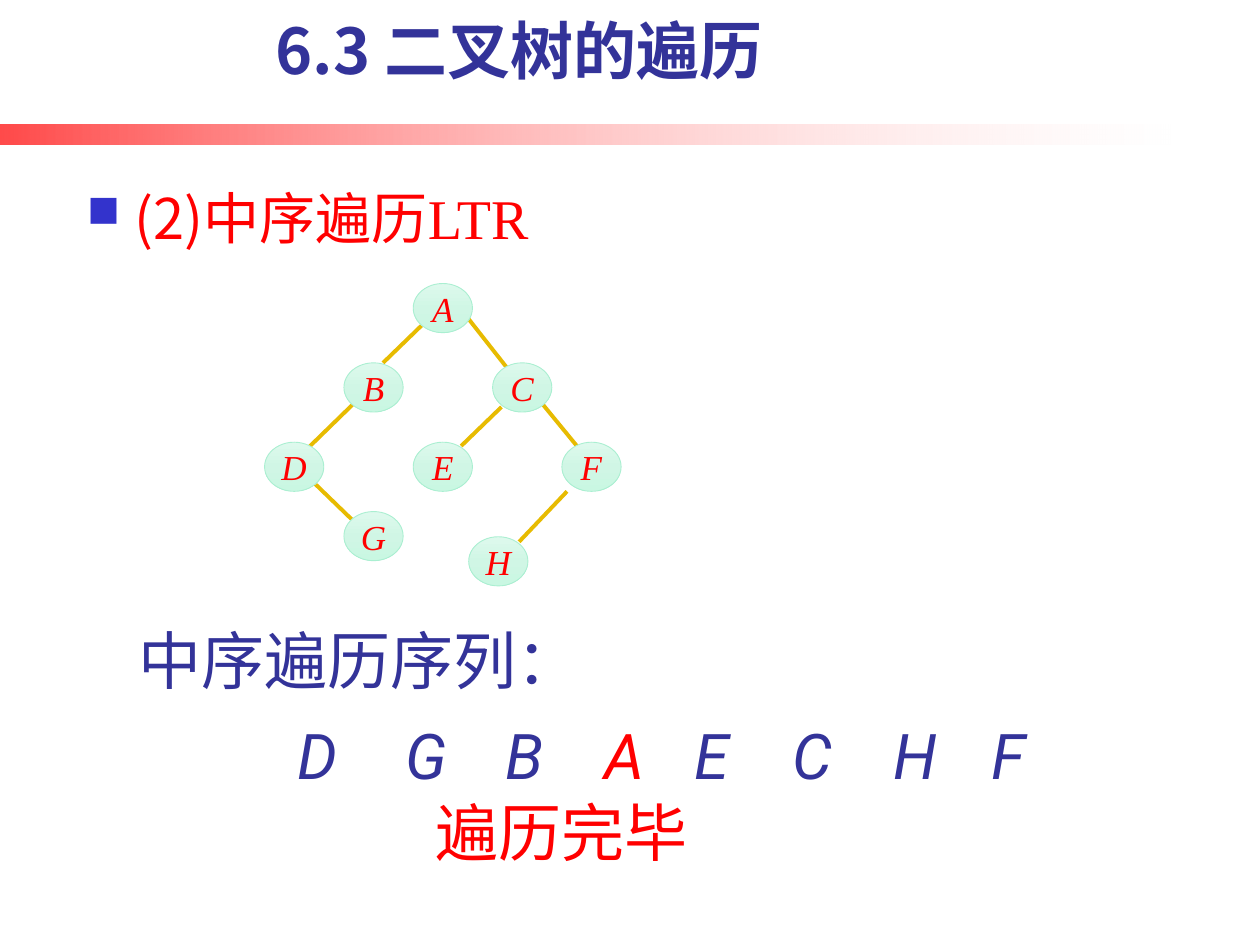
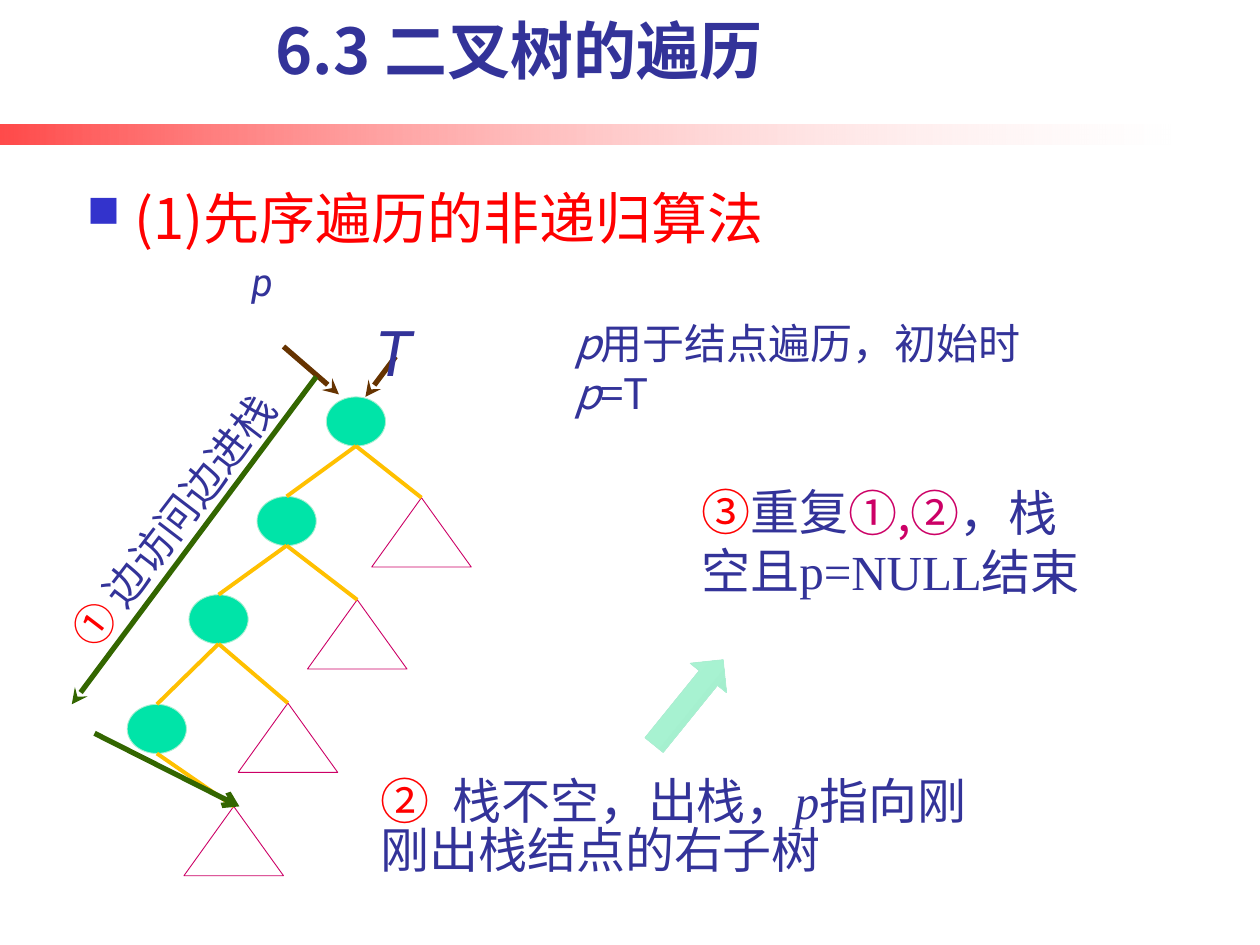
from dataclasses import dataclass
from typing import NamedTuple

from pptx import Presentation
from pptx.dml.color import RGBColor
from pptx.enum.shapes import MSO_CONNECTOR, MSO_SHAPE
from pptx.enum.text import MSO_ANCHOR, MSO_AUTO_SIZE, PP_ALIGN
from pptx.oxml.ns import qn
from pptx.util import Inches, Length, Pt
from lxml.etree import SubElement


@dataclass(frozen=True)
class Theme:
    navy: str = "333399"
    red: str = "FF0000"
    pink: str = "CC0066"
    white: str = "FFFFFF"
    bullet: str = "3333CC"
    gold: str = "E7BB01"
    amber: str = "FFC000"
    brown: str = "663300"
    olive: str = "336600"
    teal: str = "00E4A8"
    mint: str = "AAEFD1"
    pale: tuple = ("DEF9ED", "D0F6E5", "C9F7E2")
    leaf: tuple = ("B6F2D8", "A7F2D1", "8FDCBB")
    sans: str = "Noto Sans CJK SC"
    roboto: str = "Roboto"
    serif: str = "Times New Roman"
    big: int = 36
    head: int = 32
    body: int = 28
    note: int = 24
    mark: int = 22
    node: int = 20


T = Theme()


class Run(NamedTuple):
    text: str
    size: int
    color: str = T.navy
    font: str = T.sans
    italic: bool = False
    bold: bool = False


class Box(NamedTuple):
    left: float
    top: float
    width: float
    height: float


class Line(NamedTuple):
    x1: float
    y1: float
    x2: float
    y2: float
    color: str = T.gold
    width: float = 2.25
    tip: str = ""


class Node(NamedTuple):
    name: str
    left: float
    top: float
    seq: float  # left edge of its letter in the visiting order


NODE_W, NODE_H = 0.47, 0.39
TRI_W, TRI_H = 0.79, 0.55


def place(box: Box) -> list[Length]:
    return [Inches(v) for v in box]


# Text
def write(para, runs: list[Run]) -> None:
    for item in runs:
        run = para.add_run()
        run.text = item.text
        font = run.font
        font.size, font.name = Pt(item.size), item.font
        font.bold, font.italic = item.bold, item.italic
        font.color.rgb = RGBColor.from_string(item.color)
        SubElement(run._r.get_or_add_rPr(), qn("a:ea"), typeface=T.sans)


def add_text(slide, box: Box, runs: list[Run], inset: bool = True,
             turn: float = 0, low: bool = False):
    """Draw a wrapped text box and return its paragraph."""
    shape = slide.shapes.add_textbox(*place(box))
    shape.rotation = turn
    frame = shape.text_frame
    frame.word_wrap = True
    frame.auto_size = MSO_AUTO_SIZE.NONE if low else MSO_AUTO_SIZE.SHAPE_TO_FIT_TEXT
    if low:
        frame.vertical_anchor = MSO_ANCHOR.BOTTOM
    if not inset:
        frame.margin_left = frame.margin_right = 0
        frame.margin_top = frame.margin_bottom = 0
    para = frame.paragraphs[0]
    write(para, runs)
    return para


# Shapes and lines
def blend(shape, stops: list[tuple], angle: int) -> None:
    """Fill with a gradient of (position, colour, opacity) stops."""
    shape.fill.gradient()
    grad = shape._element.spPr.find(qn("a:gradFill"))
    grad.find(qn("a:lin")).set("ang", str(angle * 60000))
    items = grad.find(qn("a:gsLst"))
    for old in list(items):
        items.remove(old)
    for pos, color, alpha in stops:
        stop = SubElement(items, qn("a:gs"), pos=str(pos * 1000))
        clr = SubElement(stop, qn("a:srgbClr"), val=color)
        if alpha < 100:
            SubElement(clr, qn("a:alpha"), val=str(alpha * 1000))


def add_form(slide, kind, box: Box, fill: str | tuple, edge: str):
    shape = slide.shapes.add_shape(kind, *place(box))
    shape.shadow.inherit = False
    if isinstance(fill, tuple):
        blend(shape, [(i * 50, c, 100) for i, c in enumerate(fill)], 90)
    else:
        shape.fill.solid()
        shape.fill.fore_color.rgb = RGBColor.from_string(fill)
    shape.line.color.rgb = RGBColor.from_string(edge)
    shape.line.width = Pt(0.5)
    return shape


def add_line(slide, line: Line) -> None:
    ends = [Inches(v) for v in line[:4]]
    wire = slide.shapes.add_connector(MSO_CONNECTOR.STRAIGHT, *ends)
    wire.line.color.rgb = RGBColor.from_string(line.color)
    wire.line.width = Pt(line.width)
    if line.tip:
        SubElement(wire.line._get_or_add_ln(), qn("a:tailEnd"), type=line.tip)
    SubElement(wire._element.spPr, qn("a:effectLst"))


# Parts shared by the slides
def add_page(deck, topic: list[Run]):
    slide = deck.slides.add_slide(deck.slide_layouts[6])
    band = slide.shapes.add_shape(MSO_SHAPE.RECTANGLE, *place(Box(0, 0.99, 9.29, 0.16)))
    band.shadow.inherit = False
    band.line.fill.background()
    blend(band, [(0, T.red, 71), (100, T.white, 18)], 0)

    title = add_text(slide, Box(0.98, 0.03, 6.28, 0.71),
                     [Run("6.3 二叉树的遍历", T.big, bold=True)], low=True)
    title.alignment = PP_ALIGN.CENTER

    para = add_text(slide, Box(0.59, 1.33, 8.52, 0.71), topic, low=True)
    para.line_spacing = 1.15
    props = para._p.get_or_add_pPr()
    props.set("marL", str(Inches(0.38)))
    props.set("indent", str(-Inches(0.38)))
    tint = SubElement(props, qn("a:buClr"))
    SubElement(tint, qn("a:srgbClr"), val=T.bullet)
    SubElement(props, qn("a:buSzPct"), val="80000")
    SubElement(props, qn("a:buChar"), char="■")
    return slide


# Slide 1: in-order walk
NODES = [
    Node("A", 3.28, 2.25, 4.7), Node("B", 2.73, 2.88, 3.91),
    Node("C", 3.91, 2.88, 6.19), Node("D", 2.1, 3.51, 2.26),
    Node("E", 3.28, 3.51, 5.41), Node("G", 2.73, 4.06, 3.12),
    Node("F", 4.46, 3.51, 7.77), Node("H", 3.72, 4.26, 6.99),
]
EDGES = [
    Line(2.49, 3.83, 2.81, 4.14), Line(3.36, 2.57, 3.04, 2.88),
    Line(3.71, 2.52, 4.04, 2.94), Line(2.81, 3.2, 2.41, 3.59),
    Line(3.98, 3.23, 3.66, 3.54), Line(4.3, 3.2, 4.62, 3.59),
    Line(4.5, 3.9, 4.12, 4.3),
]


def draw_walk(deck) -> None:
    slide = add_page(deck, [Run("(2)中序遍历", T.head, T.red),
                            Run("LTR", T.head, T.red, T.serif)])
    for edge in EDGES:
        add_line(slide, edge)
    add_text(slide, Box(1, 4.88, 4.41, 0.71), [Run("中序遍历序列：", T.big)])
    add_text(slide, Box(3.36, 6.25, 2.68, 0.71), [Run("遍历完毕", T.big, T.red)])
    for node in NODES:
        color = T.red if node.name == "A" else T.navy
        add_text(slide, Box(node.seq, 5.64, 0.79, 0.71),
                 [Run(node.name, T.big, color, T.roboto, True)])
        oval = add_form(slide, MSO_SHAPE.OVAL,
                        Box(node.left, node.top, NODE_W, NODE_H), T.pale, T.mint)
        frame = oval.text_frame
        frame.word_wrap = False
        frame.vertical_anchor = MSO_ANCHOR.MIDDLE
        para = frame.paragraphs[0]
        para.alignment = PP_ALIGN.CENTER
        write(para, [Run(node.name, T.node, T.red, T.serif, True)])


# Slide 2: pre-order walk with a stack
SPINE = [(2.59, 3.15), (2.04, 3.94), (1.5, 4.72), (1.01, 5.59)]
TREES = [(2.95, 3.95), (2.44, 4.76), (1.89, 5.58), (1.46, 6.4)]
ARROWS = [
    Line(3.14, 2.83, 2.9, 3.15, T.brown, 3, "stealth"),
    Line(2.25, 2.75, 2.69, 3.13, T.brown, 3, "stealth"),
    Line(2.51, 2.99, 0.57, 5.59, T.olive, 3, "stealth"),
    Line(0.75, 5.82, 1.9, 6.4, T.olive, 3, "arrow"),
]


def draw_stack(deck) -> None:
    slide = add_page(deck, [Run("(1)先序遍历的非递归算法", T.head, T.red)])

    # Each node links to the next node and to its right subtree
    for left, top in SPINE:
        add_form(slide, MSO_SHAPE.OVAL, Box(left, top, NODE_W, NODE_H), T.teal, T.mint)
    for left, top in TREES:
        add_form(slide, MSO_SHAPE.ISOSCELES_TRIANGLE,
                 Box(left, top, TRI_W, TRI_H), T.white, T.pink)
    for i, (left, top) in enumerate(SPINE):
        goals = [(x + NODE_W / 2, y) for x, y in SPINE[i + 1:i + 2]]
        goals.append((TREES[i][0] + TRI_W / 2, TREES[i][1]))
        for x, y in goals:
            add_line(slide, Line(left + NODE_W / 2, top + NODE_H, x, y, T.amber))
    for arrow in ARROWS:
        add_line(slide, arrow)

    # Pointer names
    add_text(slide, Box(2.98, 2.49, 0.31, 0.61),
             [Run("T", T.big, font=T.roboto, italic=True)], inset=False)
    add_text(slide, Box(2, 2.05, 0.57, 0.55),
             [Run("p", T.mark, font=T.roboto, italic=True)], inset=False)
    add_text(slide, Box(4.46, 2.47, 4.1, 0.51), [
        Run("p", T.note, italic=True), Run("用于结点遍历，初始时", T.note),
        Run("p", T.note, italic=True), Run("=T", T.note)])

    # Steps
    add_text(slide, Box(0.04, 3.8, 2.8, 0.51), [
        Run("① ", T.note, T.red, T.roboto),
        Run("边访问边进栈", T.note, font=T.roboto)], turn=307.4)
    step = add_text(slide, Box(3.02, 6.19, 4.84, 0.78), [
        Run("②\t", T.body, T.red), Run("栈不空，出栈，", T.body),
        Run("p", T.body, font=T.serif, italic=True),
        Run("指向刚刚出栈结点的右子树", T.body)], inset=False)
    step.line_spacing = Pt(28)
    tabs = SubElement(step._p.get_or_add_pPr(), qn("a:tabLst"))
    SubElement(tabs, qn("a:tab"), pos=str(Inches(0.57)), algn="l")
    add_text(slide, Box(5.47, 3.78, 3.36, 1.04), [
        Run("③", T.body, T.red), Run("重复", T.body),
        Run("①,②", T.body, T.pink), Run("，栈空且", T.body),
        Run("p=NULL", T.body, font=T.serif), Run("结束", T.body)], turn=0.2)
    arrow = add_form(slide, MSO_SHAPE.RIGHT_ARROW, Box(5.03, 5.39, 0.87, 0.37),
                     T.leaf, T.mint)
    arrow.rotation = 309


def main() -> None:
    deck = Presentation()
    deck.slide_width, deck.slide_height = Inches(10), Inches(7.5)
    draw_walk(deck)
    draw_stack(deck)
    deck.save("out.pptx")


if __name__ == "__main__":
    main()
